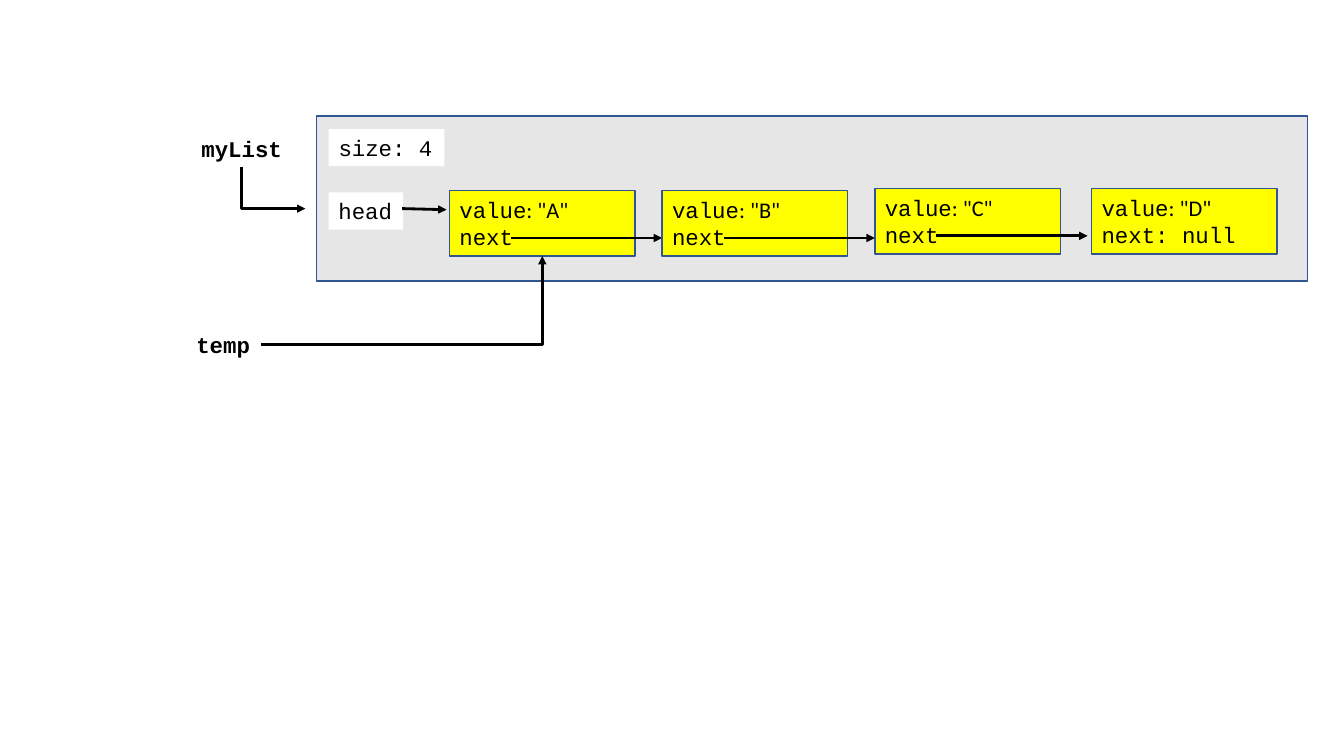
from dataclasses import dataclass

from lxml import etree
from pptx import Presentation
from pptx.dml.color import RGBColor
from pptx.enum.dml import MSO_LINE
from pptx.enum.shapes import MSO_CONNECTOR, MSO_SHAPE
from pptx.enum.text import MSO_ANCHOR, MSO_AUTO_SIZE, PP_ALIGN
from pptx.oxml.ns import qn
from pptx.util import Pt

RECTANGLE = MSO_SHAPE.RECTANGLE
STRAIGHT, ELBOW = MSO_CONNECTOR.STRAIGHT, MSO_CONNECTOR.ELBOW
SOLID = MSO_LINE.SOLID
TOP, MIDDLE = MSO_ANCHOR.TOP, MSO_ANCHOR.MIDDLE
LEFT = PP_ALIGN.LEFT
GROW, FIXED = MSO_AUTO_SIZE.SHAPE_TO_FIT_TEXT, MSO_AUTO_SIZE.NONE


@dataclass(frozen=True)
class Theme:
    ink: str = "000000"
    border: str = "325491"
    panel: str = "E7E6E6"
    node: str = "FFFF00"
    paper: str = "FFFFFF"
    code: str = "Courier New"
    plain: str = "Calibri"
    size: float = 16
    border_width: float = 1
    arrow_width: float = 2


THEME = Theme()
LIST_OBJECT = (226, 82.8, 708, 118)
VARIABLES = [("myList", (136.8, 92.9, 72.7, 26.6)), ("temp", (133.2, 233.3, 53.3, 26.6))]
FIELDS = [("size: 4", (234.7, 92.2, 82.8, 26.6)), ("head", (234.7, 137.5, 53.3, 26.6))]
NODES = [
    ("A", "next", 321.1, 136.1),
    ("B", "next", 473, 136.1),
    ("C", "next", 625, 134.6),
    ("D", "next: null", 779.8, 134.6),
]
NODE_WIDTH, NODE_HEIGHT = 132.5, 46.8
NEXT_X, NEXT_Y, NEXT_LENGTH = 43.9, 33.9, 108
HEAD_ARROW = ((287.3, 149), (319, 149.8))
MY_LIST_ARROW = ((172.8, 119.5), (218.2, 149))
TEMP_START = (186.5, 246.2)

presentation = Presentation()
presentation.slide_width, presentation.slide_height = Pt(960), Pt(540)
slide = presentation.slides.add_slide(presentation.slide_layouts[6])


def add_box(bounds, fill=None, border=None):
    box = slide.shapes.add_shape(RECTANGLE, *map(Pt, bounds))
    box.shadow.inherit = False
    if fill:
        box.fill.solid()
        box.fill.fore_color.rgb = RGBColor.from_string(fill)
    else:
        box.fill.background()
    if border:
        box.line.color.rgb = RGBColor.from_string(border)
        box.line.width = Pt(THEME.border_width)
    else:
        box.line.fill.background()
    return box


def write(box, lines, bold=False, anchor=TOP, wrap=False, auto_size=GROW):
    frame = box.text_frame
    frame.word_wrap, frame.auto_size, frame.vertical_anchor = wrap, auto_size, anchor
    for number, runs in enumerate(lines):
        paragraph = frame.add_paragraph() if number else frame.paragraphs[0]
        paragraph.alignment = LEFT
        for words, font in runs:
            run = paragraph.add_run()
            run.text = words
            run.font.name, run.font.size, run.font.bold = font, Pt(THEME.size), bold
            run.font.color.rgb = RGBColor.from_string(THEME.ink)


def add_arrow(start, end, kind=STRAIGHT, preset=None, rotation=0):
    arrow = slide.shapes.add_connector(kind, *map(Pt, (*start, *end)))
    arrow.line.color.rgb = RGBColor.from_string(THEME.ink)
    arrow.line.width = Pt(THEME.arrow_width)
    arrow.line.dash_style = SOLID
    properties = arrow.element.spPr
    etree.SubElement(properties.find(qn("a:ln")), qn("a:tailEnd"), type="triangle")
    etree.SubElement(properties, qn("a:effectLst"))
    if preset:
        properties.find(qn("a:prstGeom")).set("prst", preset)
    if rotation:
        properties.find(qn("a:xfrm")).set("rot", str(rotation * 60000))


def add_corner_arrow(start, end, vertical_first=False):
    rotation = 0
    if vertical_first:
        (x1, y1), (x2, y2) = start, end
        middle_x, middle_y = (x1 + x2) / 2, (y1 + y2) / 2
        half_width, half_height = (x2 - x1) / 2, (y2 - y1) / 2
        start = (middle_x + half_height, middle_y - half_width)
        end = (middle_x - half_height, middle_y + half_width)
        rotation = 270
    add_arrow(start, end, ELBOW, "bentConnector2", rotation)


add_box(LIST_OBJECT, THEME.panel, THEME.border)
for name, bounds in VARIABLES:
    write(add_box(bounds), [[(name, THEME.code)]], bold=True)
for field, bounds in FIELDS:
    write(add_box(bounds, THEME.paper), [[(field, THEME.code)]])

for index, (value, link, left, top) in enumerate(NODES):
    node = add_box((left, top, NODE_WIDTH, NODE_HEIGHT), THEME.node, THEME.border)
    value_line = [("value", THEME.code), (f': "{value}"', THEME.plain)]
    write(node, [value_line, [(link, THEME.code)]], anchor=MIDDLE, wrap=True, auto_size=FIXED)
    if index < len(NODES) - 1:
        x, y = left + NEXT_X, top + NEXT_Y
        add_arrow((x, y), (x + NEXT_LENGTH, y))

add_arrow(*HEAD_ARROW)
add_corner_arrow(*MY_LIST_ARROW, vertical_first=True)
first_left, first_top = NODES[0][2:]
add_corner_arrow(TEMP_START, (first_left + NODE_WIDTH / 2, first_top + NODE_HEIGHT))

presentation.save("out.pptx")
